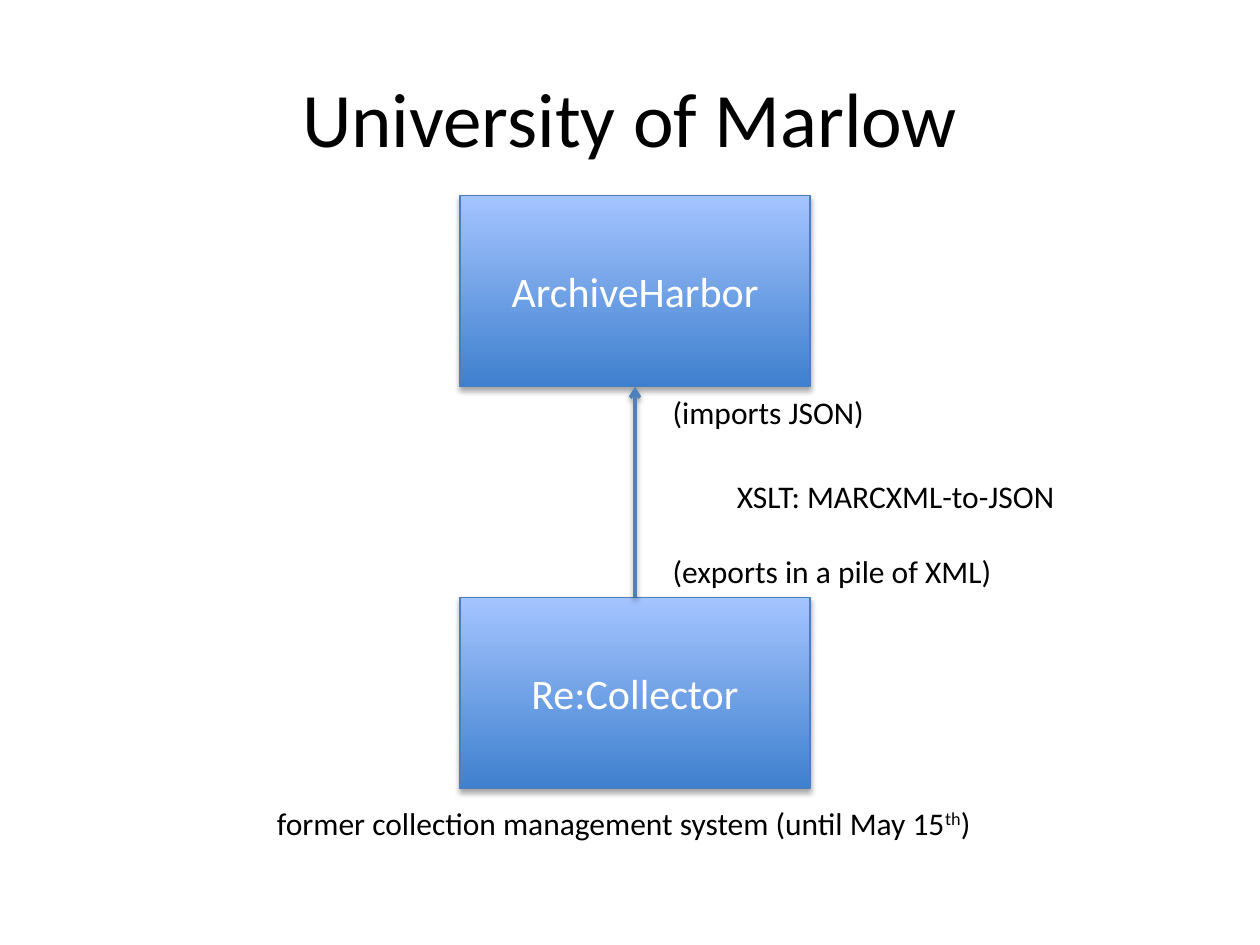
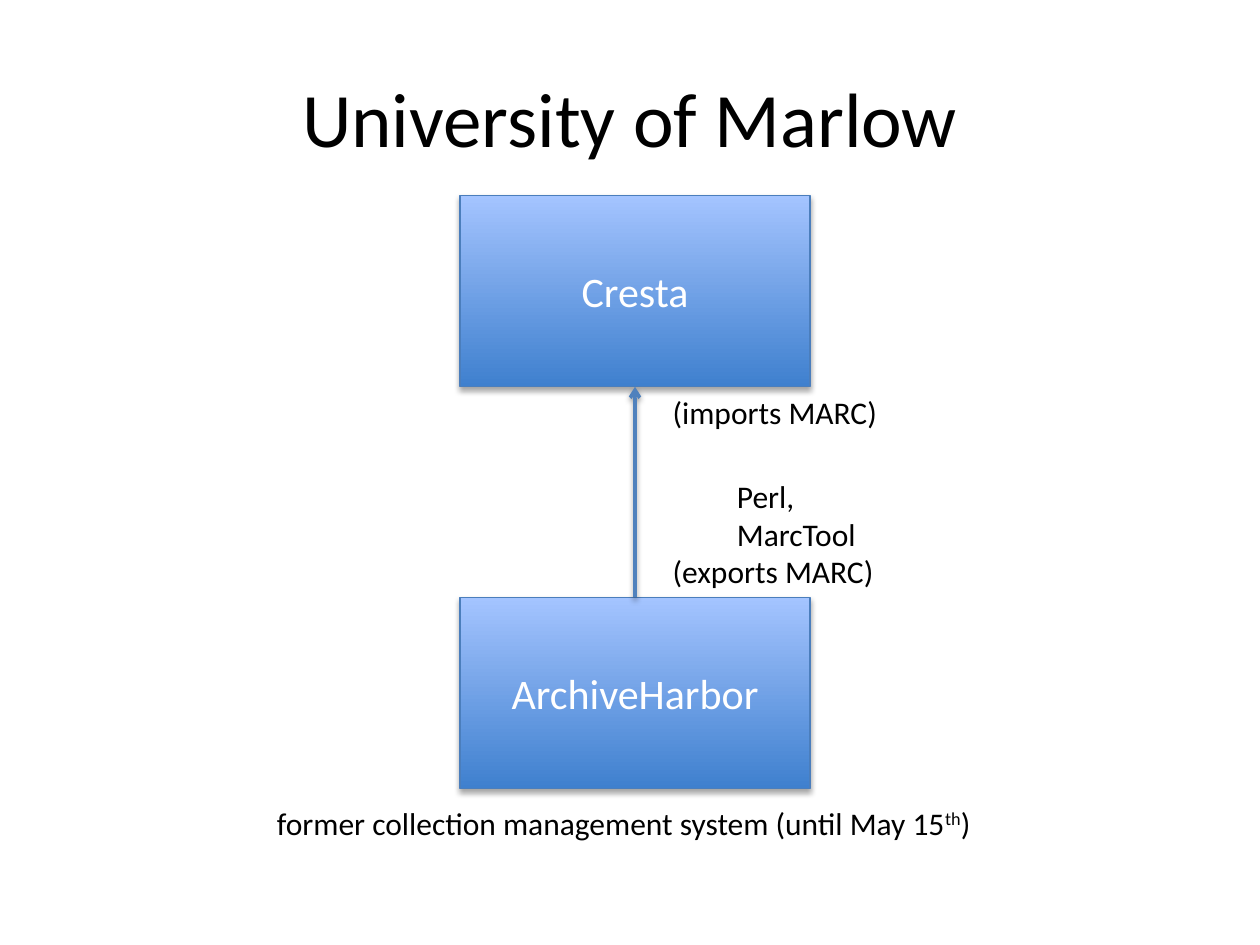
"""Build two system-migration slides that share one flow diagram."""
import lxml.etree
import pptx
import pptx.dml.color
import pptx.enum.shapes
import pptx.enum.text
import pptx.oxml
import pptx.oxml.ns
import pptx.util

Inches = pptx.util.Inches
Pt = pptx.util.Pt
qn = pptx.oxml.ns.qn

COLORS = {
    "text": "000000",
    "box_text": "FFFFFF",
    "box_bottom": "3F80CE",
    "box_top": "A4C4FF",
    "box_line": "4B7EBC",
    "arrow": "4F81BD",
    "shadow": "000000",
}
FONT = "Calibri"
SIZES = {"title": 44, "box": 24, "label": 18}
TITLE = "University of Marlow"
TITLE_BOX = (0.5, 0.3, 9, 1.25)
DIAGRAM_BOX = (3.65, 1.55, 2.78, 4.71)
CAPTION_BOX = (1.08, 6.33, 7.74, 0.4)
SYSTEM_HEIGHT = 1.52
LABEL_HEIGHT = 0.4
CAPTION = [
    ("former collection management system (until May 15", None),
    ("th", "30000"),
    (")", None),
]
FLOWS = [
    {
        "target": "ArchiveHarbor",
        "source": "Re:Collector",
        "export": ("(exports in a pile of XML)", 2.76),
        "import": ("(imports JSON)", 1.74),
        "tool": ("XSLT: MARCXML-to-JSON", 2.75),
    },
    {
        "target": "Cresta",
        "source": "ArchiveHarbor",
        "export": ("(exports MARC)", 1.81),
        "import": ("(imports MARC)", 1.84),
        "tool": ("Perl, MarcTool", 1.65),
    },
]
LABEL_OFFSETS = {"export": (0.2, 1.26), "import": (0.2, 0), "tool": (0.71, 0.67)}


def rgb(name):
    """Return the named colour."""
    return pptx.dml.color.RGBColor.from_string(COLORS[name])


def set_all(target, values):
    """Set every attribute in a dict of format values."""
    for name, value in values.items():
        setattr(target, name, value)


def add_run(paragraph, text, size, color="text"):
    """Add a formatted run to a paragraph."""
    run = paragraph.add_run()
    run.text = text
    set_all(run.font, {"name": FONT, "size": Pt(SIZES[size])})
    run.font.color.rgb = rgb(color)
    return run


def add_shadow(properties, alpha, distance):
    """Give shape properties a soft shadow that falls downwards."""
    effects = properties.find(qn("a:effectLst"))
    if effects is None:
        effects = lxml.etree.SubElement(properties, qn("a:effectLst"))
    shadow = lxml.etree.SubElement(
        effects, qn("a:outerShdw"), blurRad=str(Pt(3.15)),
        dist=str(Pt(distance)), dir="5400000", rotWithShape="0")
    color = lxml.etree.SubElement(shadow, qn("a:srgbClr"), val=COLORS["shadow"])
    lxml.etree.SubElement(color, qn("a:alpha"), val=str(alpha * 1000))


def add_title(slide, box):
    """Place and format the slide title."""
    title = slide.shapes.title
    set_all(title, dict(zip(("left", "top", "width", "height"), map(Inches, box))))
    title.text_frame.vertical_anchor = pptx.enum.text.MSO_ANCHOR.MIDDLE
    paragraph = title.text_frame.paragraphs[0]
    paragraph.alignment = pptx.enum.text.PP_ALIGN.CENTER
    add_run(paragraph, TITLE, "title")


def add_system(slide, box, name):
    """Draw one system as a gradient box with its name."""
    shape = slide.shapes.add_shape(
        pptx.enum.shapes.MSO_SHAPE.RECTANGLE, *map(Inches, box))
    shape.fill.gradient()
    shape.fill.gradient_angle = 90
    for stop, color in zip(shape.fill.gradient_stops, ("box_bottom", "box_top")):
        stop.color.rgb = rgb(color)
    shape.line.color.rgb = rgb("box_line")
    shape.line.width = Pt(0.75)
    shape.shadow.inherit = False
    add_shadow(shape.element.spPr, 35, 1.8)
    shape.text_frame.vertical_anchor = pptx.enum.text.MSO_ANCHOR.MIDDLE
    paragraph = shape.text_frame.paragraphs[0]
    paragraph.alignment = pptx.enum.text.PP_ALIGN.CENTER
    add_run(paragraph, name, "box", "box_text")


def add_arrow(slide, x, start, end):
    """Draw the vertical arrow from the source to the target."""
    arrow = slide.shapes.add_connector(
        pptx.enum.shapes.MSO_CONNECTOR.STRAIGHT,
        Inches(x), Inches(start), Inches(x), Inches(end))
    arrow.line.color.rgb = rgb("arrow")
    arrow.line.width = Pt(2)
    properties = arrow.element.spPr
    lxml.etree.SubElement(properties.find(qn("a:ln")), qn("a:tailEnd"), type="arrow")
    add_shadow(properties, 38, 1.6)


def add_text(slide, box, wrap):
    """Add an empty growing text box and return its paragraph."""
    frame = slide.shapes.add_textbox(*map(Inches, box)).text_frame
    set_all(frame, {
        "word_wrap": wrap,
        "auto_size": pptx.enum.text.MSO_AUTO_SIZE.SHAPE_TO_FIT_TEXT,
    })
    return frame.paragraphs[0]


def add_diagram(slide, box, flow):
    """Draw two systems, the arrow between them and its labels."""
    left, top, width, height = box
    gap_top = top + SYSTEM_HEIGHT
    source_top = top + height - SYSTEM_HEIGHT
    center = left + width / 2
    add_system(slide, (left, top, width, SYSTEM_HEIGHT), flow["target"])
    add_system(slide, (left, source_top, width, SYSTEM_HEIGHT), flow["source"])
    add_arrow(slide, center, source_top, gap_top)
    for part, (across, down) in LABEL_OFFSETS.items():
        text, label_width = flow[part]
        label_box = (center + across, gap_top + down, label_width, LABEL_HEIGHT)
        add_run(add_text(slide, label_box, False), text, "label")


def add_caption(slide, box):
    """Place the caption with its raised ordinal ending."""
    paragraph = add_text(slide, box, True)
    paragraph.alignment = pptx.enum.text.PP_ALIGN.CENTER
    for text, baseline in CAPTION:
        run = add_run(paragraph, text, "label")
        if baseline:
            run._r.get_or_add_rPr().set("baseline", baseline)


def main():
    """Build and save the presentation."""
    presentation = pptx.Presentation()
    set_all(presentation, {"slide_width": Inches(10), "slide_height": Inches(7.5)})
    for flow in FLOWS:
        slide = presentation.slides.add_slide(presentation.slide_layouts[5])
        add_title(slide, TITLE_BOX)
        add_diagram(slide, DIAGRAM_BOX, flow)
        add_caption(slide, CAPTION_BOX)
    presentation.save("out.pptx")


main()
